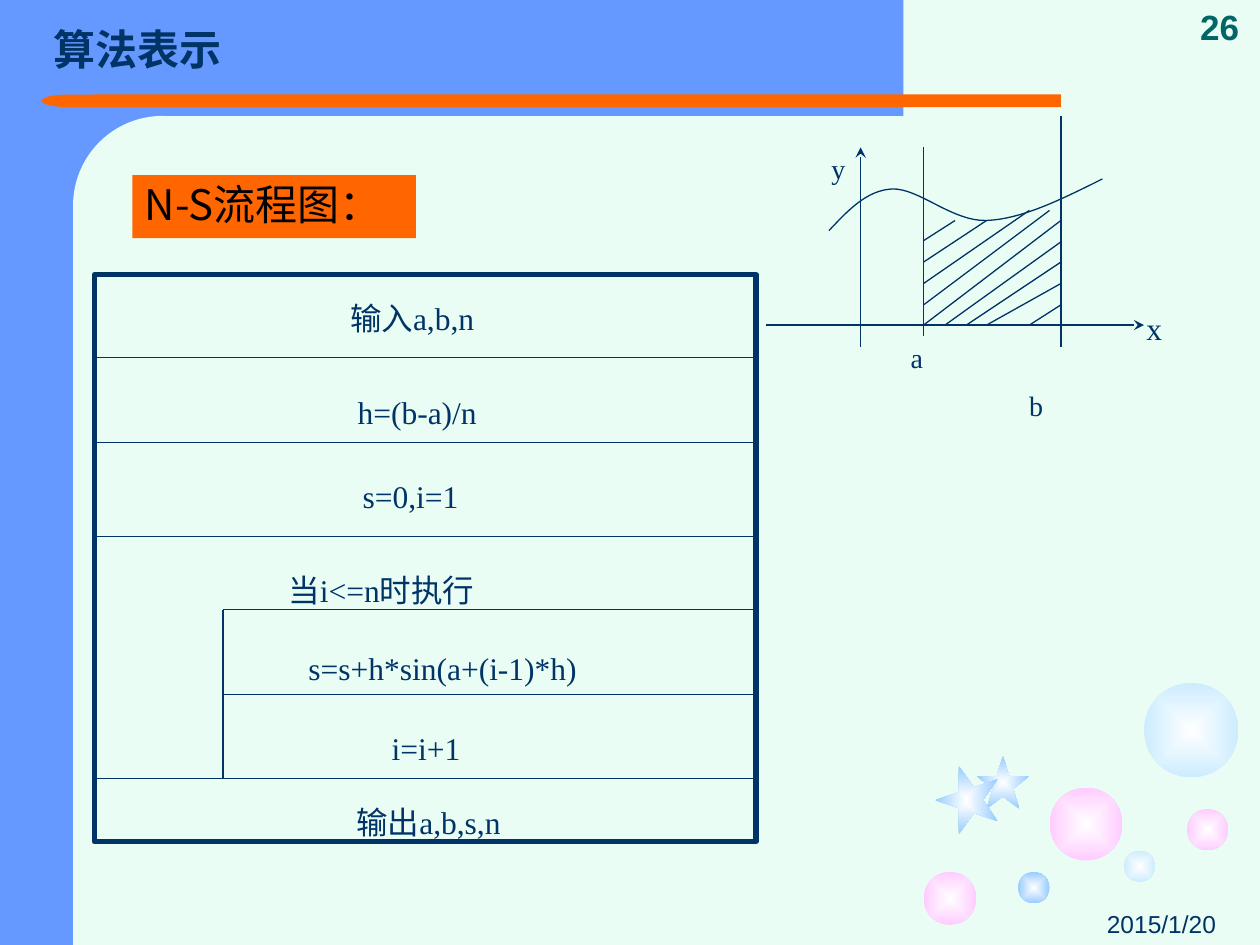
from lxml import etree
from pptx import Presentation
from pptx.dml.color import RGBColor
from pptx.enum.shapes import MSO_CONNECTOR, MSO_SHAPE
from pptx.enum.text import MSO_ANCHOR, PP_ALIGN
from pptx.oxml.ns import qn
from pptx.util import Inches, Pt

COLORS = {
    "background": "E9FDF4", "blue": "6699FF", "orange": "FF6600",
    "navy": "003366", "teal": "006666", "black": "000000", "white": "FFFFFF",
    "pink": "FFCCFF", "pale": "CCECFF", "sky": "99CCFF",
}
RGB = {name: RGBColor.from_string(value) for name, value in COLORS.items()}
SERIF, SANS, CHINESE = "Times New Roman", "Arial", "Noto Sans CJK SC"

presentation = Presentation()
presentation.slide_width, presentation.slide_height = Inches(10), Inches(7.5)
slide = presentation.slides.add_slide(presentation.slide_layouts[6])
slide.background.fill.solid()
slide.background.fill.fore_color.rgb = RGB["background"]


def add_text(text, left, top, width, height, size=18, font=SERIF, color="navy",
             bold=False, align=PP_ALIGN.LEFT, anchor=MSO_ANCHOR.TOP,
             spacing=0.96, fill=None):
    shape = slide.shapes.add_textbox(*map(Inches, (left, top, width, height)))
    if fill:
        shape.fill.solid()
        shape.fill.fore_color.rgb = RGB[fill]
    frame = shape.text_frame
    frame.word_wrap = True
    frame.vertical_anchor = anchor
    paragraph = frame.paragraphs[0]
    paragraph.alignment = align
    paragraph.line_spacing = spacing
    run = paragraph.add_run()
    run.text = text
    run.font.size, run.font.bold, run.font.name = Pt(size), bold, font
    run.font.color.rgb = RGB[color]
    east_asian = etree.SubElement(run.font._element, qn("a:ea"))
    east_asian.set("typeface", CHINESE)


def add_line(x1, y1, x2, y2, arrow=False):
    line = slide.shapes.add_connector(
        MSO_CONNECTOR.STRAIGHT, *map(Inches, (x1, y1, x2, y2)))
    line.line.color.rgb = RGB["navy"]
    line.line.width = Pt(0.75)
    if arrow:
        outline = line.line._get_or_add_ln()
        etree.SubElement(outline, qn("a:tailEnd")).set("type", "stealth")
    etree.SubElement(line._element.spPr, qn("a:effectLst"))


# Background panels and title bar
for kind, left, top, width, height, color in [
    (MSO_SHAPE.RECTANGLE, 0, 0, 1.25, 7.5, "blue"),
    (MSO_SHAPE.RECTANGLE, 0.5, 0, 6.67, 0.92, "blue"),
    (MSO_SHAPE.ROUNDED_RECTANGLE, 0.58, 0.92, 1.42, 5.75, "background"),
    (MSO_SHAPE.RECTANGLE, 0.75, 0.75, 7.67, 0.1, "orange"),
    (MSO_SHAPE.FLOWCHART_DELAY, 0.33, 0.75, 0.43, 0.1, "orange"),
    (MSO_SHAPE.RECTANGLE, 0.58, 5.92, 1.42, 1.58, "background"),
]:
    shape = slide.shapes.add_shape(kind, *map(Inches, (left, top, width, height)))
    shape.shadow.inherit = False
    shape.fill.solid()
    shape.fill.fore_color.rgb = RGB[color]
    shape.line.fill.background()
    if kind == MSO_SHAPE.ROUNDED_RECTANGLE:
        shape.adjustments[0] = 0.5
    elif kind == MSO_SHAPE.FLOWCHART_DELAY:
        shape.rotation = 180

# Bubbles and stars, white at the centre
for kind, left, top, width, height, color, rotation in [
    (MSO_SHAPE.OVAL, 8.33, 6.25, 0.58, 0.58, "pink", 0),
    (MSO_SHAPE.OVAL, 7.33, 6.92, 0.42, 0.42, "pink", 0),
    (MSO_SHAPE.OVAL, 8.92, 6.75, 0.25, 0.25, "pale", 0),
    (MSO_SHAPE.OVAL, 9.42, 6.42, 0.33, 0.33, "pink", 0),
    (MSO_SHAPE.OVAL, 9.08, 5.42, 0.75, 0.75, "pale", 0),
    (MSO_SHAPE.OVAL, 8.08, 6.92, 0.25, 0.25, "sky", 0),
    (MSO_SHAPE.STAR_5_POINT, 7.75, 6, 0.42, 0.42, "sky", 0),
    (MSO_SHAPE.STAR_5_POINT, 7.4, 6.1, 0.54, 0.5, "sky", 270),
]:
    shape = slide.shapes.add_shape(kind, *map(Inches, (left, top, width, height)))
    shape.shadow.inherit = False
    shape.rotation = rotation
    shape.line.fill.background()
    shape.fill.gradient()
    for stop, stop_color in zip(shape.fill.gradient_stops, ("white", color)):
        stop.color.rgb = RGB[stop_color]
    gradient = shape._element.spPr.find(qn("a:gradFill"))
    gradient.remove(gradient.find(qn("a:lin")))
    gradient_path = etree.SubElement(gradient, qn("a:path"))
    gradient_path.set("path", "shape")
    center = etree.SubElement(gradient_path, qn("a:fillToRect"))
    for side in "ltrb":
        center.set(side, "50000")

# Title, page number, date and heading
add_text("算法表示", 0.33, 0, 8.42, 0.83, size=24, font=CHINESE, bold=True,
         anchor=MSO_ANCHOR.MIDDLE, spacing=0.9)
add_text("26", 9.36, 0, 0.64, 0.43, size=20, font=SANS, color="teal", bold=True,
         align=PP_ALIGN.CENTER, anchor=MSO_ANCHOR.BOTTOM, spacing=1)
add_text("2015/1/20", 7.67, 7.17, 2.08, 0.33, size=14, font=SANS,
         align=PP_ALIGN.RIGHT, anchor=MSO_ANCHOR.BOTTOM, spacing=1)
add_text("N-S流程图：", 1.05, 1.39, 2.25, 0.5, size=24, font=CHINESE,
         color="black", fill="orange")

# N-S diagram: frame, row dividers and loop body
frame_shape = slide.shapes.add_shape(
    MSO_SHAPE.RECTANGLE, *map(Inches, (0.75, 2.18, 5.25, 4.5)))
frame_shape.shadow.inherit = False
frame_shape.fill.background()
frame_shape.line.color.rgb = RGB["navy"]
frame_shape.line.width = Pt(3)
for y in (2.84, 3.51, 4.26, 6.18):
    add_line(0.77, y, 6.02, y)
add_line(1.77, 6.18, 1.77, 4.84)
for y in (4.84, 5.51):
    add_line(1.77, y, 6.01, y)

for text, left, top in [
    ("输入a,b,n", 2.68, 2.34),
    ("h=(b-a)/n", 2.74, 3.09),
    ("s=0,i=1", 2.78, 3.76),
    ("当i<=n时执行", 2.19, 4.5),
    ("s=s+h*sin(a+(i-1)*h)", 2.35, 5.12),
    ("i=i+1", 3.01, 5.76),
    ("输出a,b,s,n", 2.73, 6.34),
]:
    add_text(text, left, top, 3, 0.4)

# Graph: axes and integration limits
add_line(6.08, 2.58, 9.08, 2.58, arrow=True)
add_line(6.83, 2.75, 6.83, 1.17, arrow=True)
add_line(7.33, 1.17, 7.33, 2.67)
add_line(8.42, 0.92, 8.42, 2.75)

# Curve, sampled from three Bezier segments
STEPS = 16
knots = [(6.58, 1.83), (6.73, 1.67), (6.88, 1.51), (7.08, 1.5), (7.29, 1.49),
         (7.56, 1.76), (7.83, 1.75), (8.11, 1.74), (8.43, 1.58), (8.75, 1.42)]
points = []
for start in (0, 3, 6):
    for step in range(1, STEPS + 1):
        t = step / STEPS
        weights = ((1 - t) ** 3, 3 * t * (1 - t) ** 2, 3 * t * t * (1 - t), t ** 3)
        points.append(tuple(
            Inches(sum(weight * knot[axis] for weight, knot
                       in zip(weights, knots[start:start + 4])))
            for axis in (0, 1)))
builder = slide.shapes.build_freeform(Inches(knots[0][0]), Inches(knots[0][1]))
builder.add_line_segments(points, close=False)
curve = builder.convert_to_shape()
curve.shadow.inherit = False
curve.fill.background()
curve.line.color.rgb = RGB["navy"]
curve.line.width = Pt(0.75)

# Hatching from the left limit, then from the x axis
for x, y, left_y in [(7.58, 1.75, 1.91), (7.83, 1.75, 2.08), (8.17, 1.67, 2.25),
                     (8.33, 1.67, 2.42), (8.42, 1.75, 2.58)]:
    add_line(x, y, 7.33, left_y)
for y, axis_x in [(1.92, 7.5), (2.08, 7.67), (2.25, 7.83), (2.42, 8.17)]:
    add_line(8.42, y, axis_x, 2.58)

# Graph labels
add_text("y", 6.5, 1.17, 0.42, 0.37, size=16)
add_text("x", 9, 2.42, 0.33, 0.4)
add_text("a", 7.13, 2.67, 0.5, 0.37, size=16)
add_text("b", 8.07, 3.05, 0.49, 0.37, size=16)

presentation.save("out.pptx")
